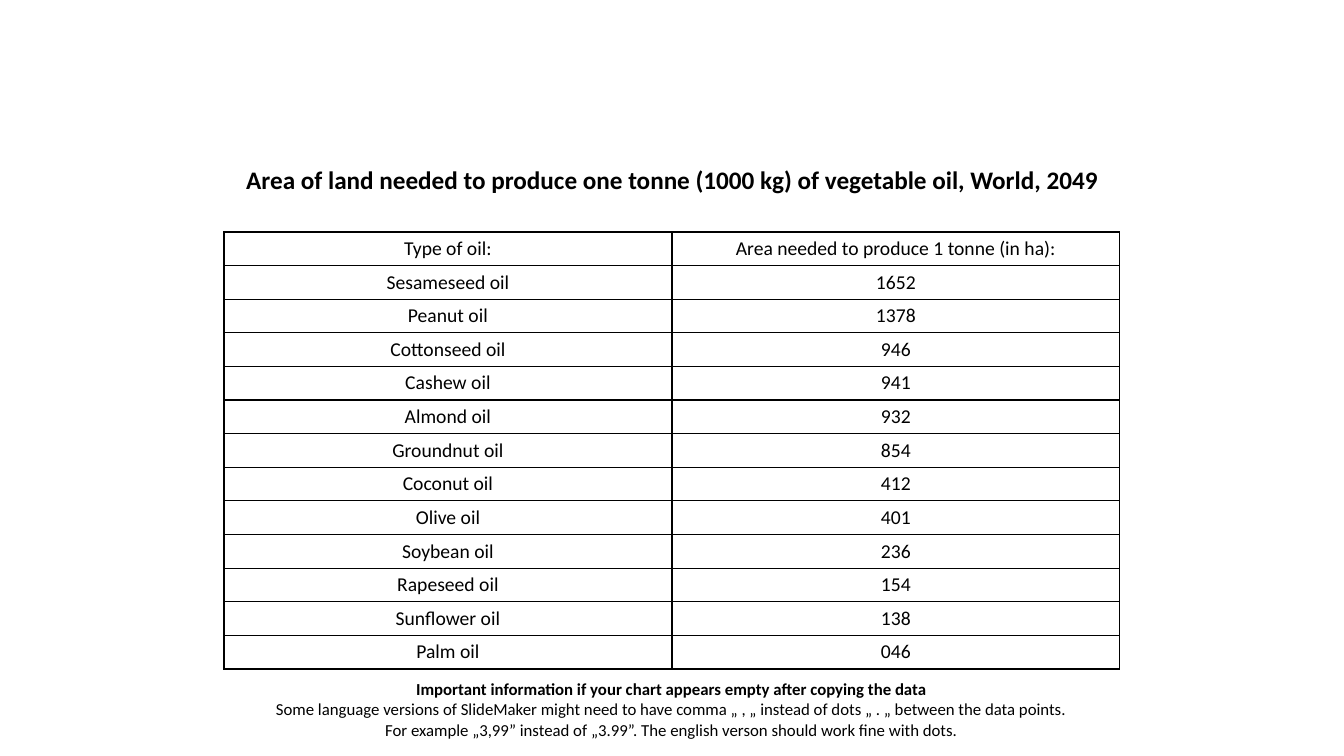
from collections import namedtuple

from lxml.etree import SubElement
from pptx import Presentation
from pptx.dml.color import RGBColor
from pptx.enum.text import MSO_ANCHOR as Anchor, MSO_AUTO_SIZE as AutoSize, PP_ALIGN as Align
from pptx.oxml.ns import qn
from pptx.util import Emu, Pt

BLACK = RGBColor(0, 0, 0)
FONT = "Calibri"
PAGE_WIDTH, PAGE_HEIGHT = 1344, 756
SCALE = 12192000 / PAGE_WIDTH
TITLE_ONLY = 5

Box = namedtuple("Box", "left top width height")

TITLE = "Area of land needed to produce one tonne (1000 kg) of vegetable oil, World, 2049"
OIL_ROWS = [
    ("Type of oil:", "Area needed to produce 1 tonne (in ha):"),
    ("Sesameseed oil", "1652"),
    ("Peanut oil", "1378"),
    ("Cottonseed oil", "946"),
    ("Cashew oil", "941"),
    ("Almond oil", "932"),
    ("Groundnut oil", "854"),
    ("Coconut oil", "412"),
    ("Olive oil", "401"),
    ("Soybean oil", "236"),
    ("Rapeseed oil", "154"),
    ("Sunflower oil", "138"),
    ("Palm oil", "046"),
]
NOTE_LINES = [
    "Important information if your chart appears empty after copying the data",
    "Some language versions of SlideMaker might need to have comma „ , „ "
    "instead of dots „ . „ between the data points.",
    "For example „3,99” instead of „3.99”. The english verson should work fine with dots.",
]


def px(length):
    """Turn pixels into EMU."""
    return Emu(round(length * SCALE))


def add_span(para, text, size, bold=False):
    """Add one run to a centred paragraph."""
    para.alignment = Align.CENTER
    span = para.add_run()
    span.text = text
    span.font.name = FONT
    span.font.size = Pt(size)
    span.font.bold = bold
    span.font.color.rgb = BLACK


def add_borders(cell):
    """Draw a thin black line on all four sides of a cell."""
    properties = cell._tc.get_or_add_tcPr()
    for side in ("a:lnL", "a:lnR", "a:lnT", "a:lnB"):
        line = SubElement(properties, qn(side), w=str(Pt(1)))
        fill = SubElement(line, qn("a:solidFill"))
        SubElement(fill, qn("a:srgbClr"), val=str(BLACK))


def fill_title(page, box):
    """Place the heading in the title placeholder."""
    title = page.shapes.title
    title.left, title.top, title.width, title.height = map(px, box)
    frame = title.text_frame
    frame.word_wrap = False
    frame.auto_size = AutoSize.SHAPE_TO_FIT_TEXT
    frame.vertical_anchor = Anchor.MIDDLE
    para = frame.paragraphs[0]
    para.line_spacing = 0.9
    para.space_before = Pt(0)
    para.space_after = Pt(6)
    add_span(para, TITLE, 18, bold=True)


def add_oil_table(page, box):
    """Add the table of oils with equal rows and columns."""
    table = page.shapes.add_table(len(OIL_ROWS), 2, *map(px, box)).table
    table.first_row = table.horz_banding = False
    for row, texts in zip(table.rows, OIL_ROWS):
        row.height = px(box.height / len(OIL_ROWS))
        for cell, text in zip(row.cells, texts):
            add_borders(cell)
            cell.fill.background()
            cell.margin_top = cell.margin_bottom = 0
            cell.vertical_anchor = Anchor.MIDDLE
            add_span(cell.text_frame.paragraphs[0], text, 14)


def add_note(page, box):
    """Add the note on decimal signs, its first line bold."""
    frame = page.shapes.add_textbox(*map(px, box)).text_frame
    frame.word_wrap = True
    frame.auto_size = AutoSize.SHAPE_TO_FIT_TEXT
    para = frame.paragraphs[0]
    for number, text in enumerate(NOTE_LINES):
        if number:
            para.add_line_break()
        add_span(para, text, 12, bold=number == 0)


def main():
    """Build the slide and save it."""
    deck = Presentation()
    deck.slide_width, deck.slide_height = px(PAGE_WIDTH), px(PAGE_HEIGHT)
    page = deck.slides.add_slide(deck.slide_layouts[TITLE_ONLY])
    fill_title(page, Box(227, 163, 891, 37))
    add_oil_table(page, Box(224, 232, 896, 437))
    add_note(page, Box(212, 674, 919, 72))
    deck.save("out.pptx")


main()
